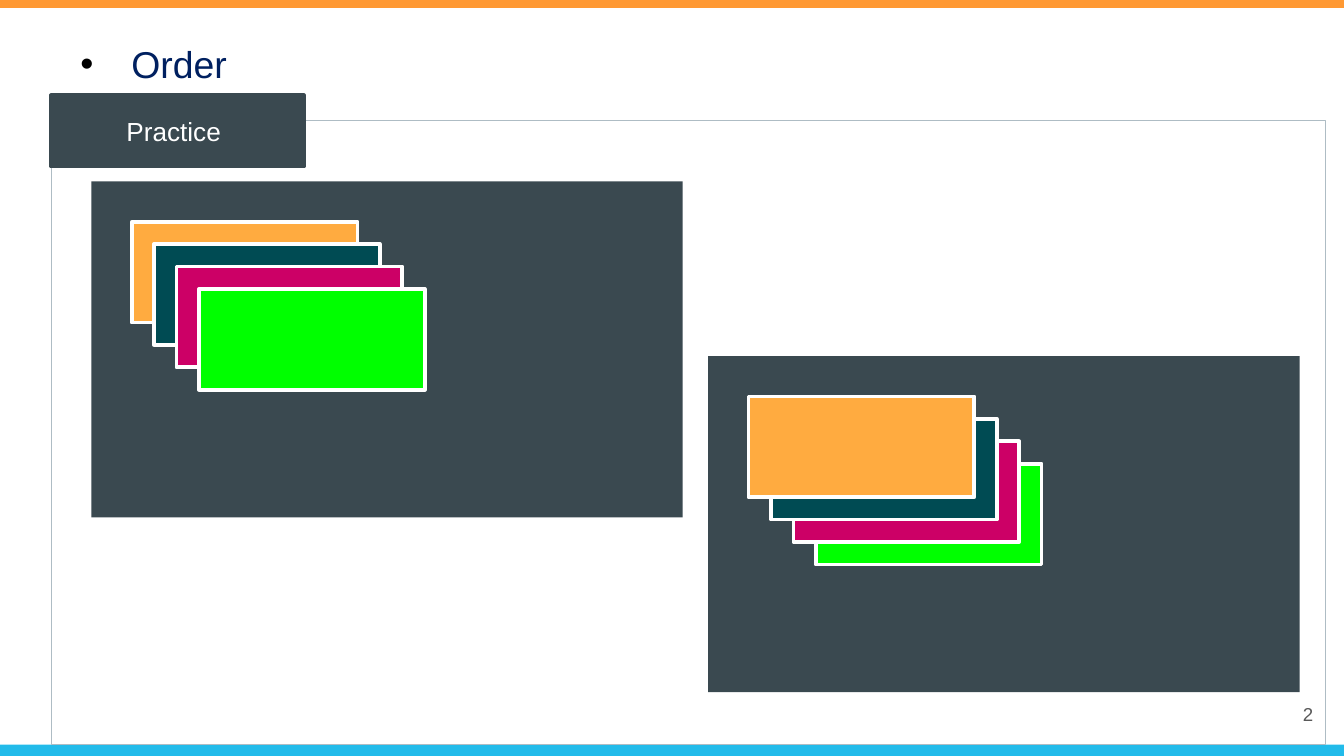
from dataclasses import dataclass

from lxml.etree import SubElement
from pptx import Presentation
from pptx.dml.color import RGBColor
from pptx.enum.shapes import MSO_SHAPE
from pptx.enum.text import MSO_ANCHOR, MSO_AUTO_SIZE, PP_ALIGN
from pptx.oxml.ns import qn
from pptx.util import Inches, Pt

SLIDE_WIDTH = Inches(10)
SLIDE_HEIGHT = Inches(5.625)
COLUMNS = 60
CELL = SLIDE_WIDTH / COLUMNS
ROWS = SLIDE_HEIGHT / CELL

BLACK = RGBColor(0x00, 0x00, 0x00)
WHITE = RGBColor(0xFF, 0xFF, 0xFF)
SKY = RGBColor(0x22, 0xBB, 0xEA)
ORANGE = RGBColor(0xFF, 0x99, 0x33)
SLATE = RGBColor(0x3A, 0x49, 0x50)
FRAME_GREY = RGBColor(0xAE, 0xBC, 0xC4)
NUMBER_GREY = RGBColor(0x59, 0x59, 0x59)
NAVY = RGBColor(0x00, 0x20, 0x60)
AMBER = RGBColor(0xFF, 0xAB, 0x40)
TEAL = RGBColor(0x00, 0x4B, 0x53)
MAGENTA = RGBColor(0xCC, 0x00, 0x66)
GREEN = RGBColor(0x00, 0xFF, 0x00)
CARD_COLORS = [AMBER, TEAL, MAGENTA, GREEN]


@dataclass
class Box:
    """A rectangle measured in grid cells."""

    left: float
    top: float
    width: float
    height: float

    def inner(self, left, top, width, height):
        """Return a box placed relative to this one."""
        return Box(self.left + left, self.top + top, width, height)

    def lengths(self):
        """Return left, top, width and height in slide units."""
        cells = (self.left, self.top, self.width, self.height)
        return [round(cell * CELL) for cell in cells]


def add_rectangle(slide, box, fill=None, line=None, line_width=2):
    """Add a flat rectangle with an optional fill and outline."""
    shape = slide.shapes.add_shape(MSO_SHAPE.RECTANGLE, *box.lengths())
    shape.shadow.inherit = False
    if fill is None:
        shape.fill.background()
    else:
        shape.fill.solid()
        shape.fill.fore_color.rgb = fill
    if line is None:
        shape.line.fill.background()
    else:
        shape.line.color.rgb = line
        shape.line.width = Pt(line_width)
    return shape


def write(shape, text, size, color, alignment, anchor, vertical_inset):
    """Write one Arial run into a shape and return its paragraph."""
    frame = shape.text_frame
    frame.word_wrap = True
    frame.vertical_anchor = anchor
    frame.margin_left = frame.margin_right = Inches(0.1)
    frame.margin_top = frame.margin_bottom = Inches(vertical_inset)
    paragraph = frame.paragraphs[0]
    paragraph.alignment = alignment
    run = paragraph.add_run()
    run.text = text
    run.font.name = "Arial"
    run.font.size = Pt(size)
    run.font.color.rgb = color
    return paragraph


def add_bullet(paragraph, color):
    """Give a paragraph a hanging round bullet."""
    properties = paragraph._p.get_or_add_pPr()
    indent = Inches(0.38)
    properties.set("marL", str(indent))
    properties.set("indent", str(-indent))
    bullet_color = SubElement(properties, qn("a:buClr"))
    SubElement(bullet_color, qn("a:srgbClr"), val=str(color))
    SubElement(properties, qn("a:buFont"), typeface="Arial")
    SubElement(properties, qn("a:buChar"), char="•")


def add_bars(slide, box):
    """Add the coloured bars along the bottom and top edges."""
    bottom_height = 0.5
    bottom = box.inner(0, box.height - bottom_height, box.width, bottom_height)
    add_rectangle(slide, bottom, SKY)
    add_rectangle(slide, box.inner(0, 0, box.width, 0.36), ORANGE)


def add_slide_number(slide, box):
    """Add the slide number."""
    shape = slide.shapes.add_textbox(*box.lengths())
    write(shape, "2", 10, NUMBER_GREY, PP_ALIGN.RIGHT, MSO_ANCHOR.MIDDLE, 0.1)


def add_card_panel(slide, box, first_on_top=False):
    """Add a panel of cascading cards stacked in either order."""
    add_rectangle(slide, box, SLATE)
    cards = list(enumerate(CARD_COLORS))
    if first_on_top:
        cards.reverse()
    for step, color in cards:
        card = box.inner(1.8 + step, 1.8 + step, 10.08, 4.5)
        add_rectangle(slide, card, color, WHITE)


def add_heading(slide, box):
    """Add the bulleted heading."""
    shape = slide.shapes.add_textbox(*box.lengths())
    paragraph = write(shape, "Order", 20, NAVY, PP_ALIGN.LEFT, MSO_ANCHOR.TOP, 0.05)
    add_bullet(paragraph, BLACK)
    shape.text_frame.auto_size = MSO_AUTO_SIZE.SHAPE_TO_FIT_TEXT


def add_practice_frame(slide, box):
    """Add the thin frame with its title tab over the top edge."""
    add_rectangle(slide, box, line=FRAME_GREY, line_width=0.5)
    tab = add_rectangle(slide, box.inner(0, -1.14, 11.28, 3.18), SLATE, SLATE)
    write(tab, "Practice ", 14, WHITE, PP_ALIGN.CENTER, MSO_ANCHOR.MIDDLE, 0.05)


def main():
    """Build and save the presentation."""
    presentation = Presentation()
    presentation.slide_width = SLIDE_WIDTH
    presentation.slide_height = SLIDE_HEIGHT
    slide = presentation.slides.add_slide(presentation.slide_layouts[6])
    page = Box(0, 0, COLUMNS, ROWS)
    add_bars(slide, page)
    add_slide_number(slide, page.inner(55.62, 30.6, 3.6, 2.58))
    add_card_panel(slide, page.inner(4.08, 8.1, 26.4, 15))
    add_card_panel(slide, page.inner(31.62, 15.9, 26.4, 15), first_on_top=True)
    add_heading(slide, page.inner(3, 1.56, 12, 2.64))
    add_practice_frame(slide, page.inner(2.28, 5.4, 56.88, 27.84))
    presentation.save("out.pptx")


if __name__ == "__main__":
    main()
